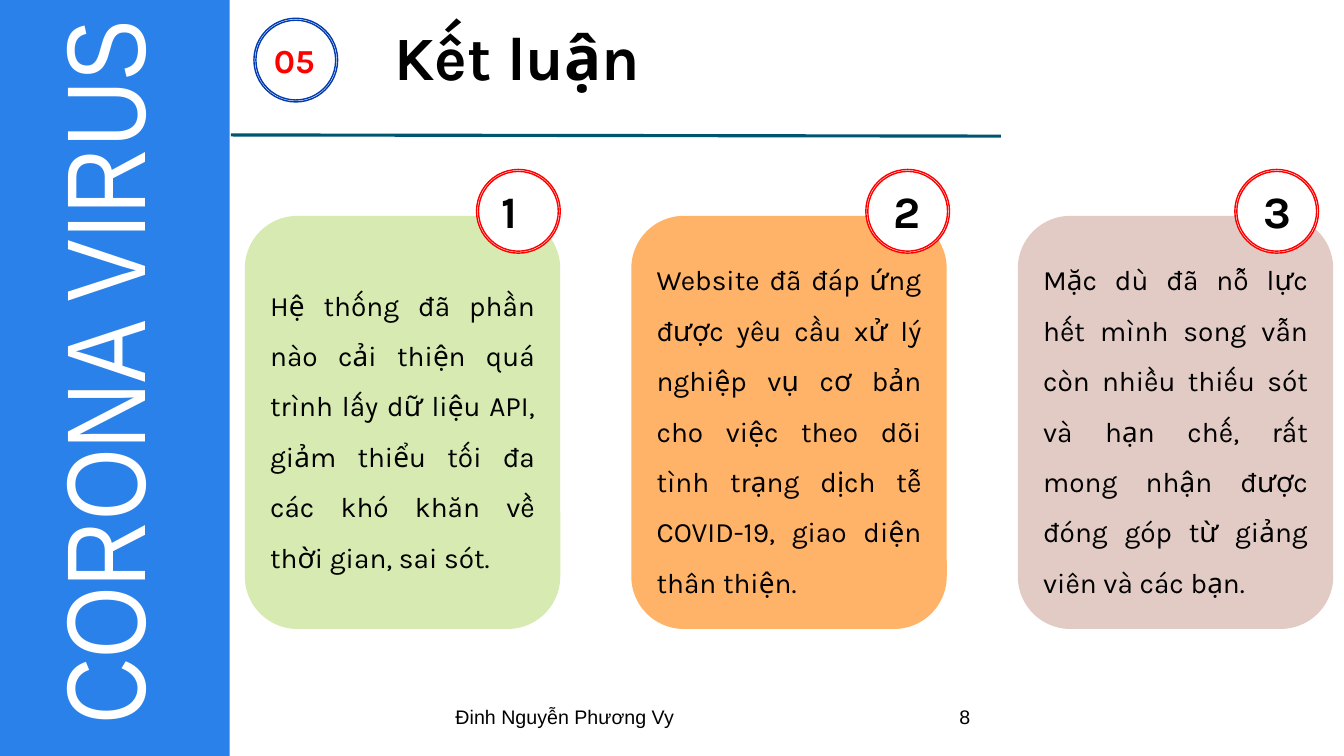
"""Builds the closing slide with three numbered conclusion cards."""
from pptx import Presentation, util as u
from pptx.dml.color import RGBColor
from pptx.enum import shapes, text
from pptx.oxml import parse_xml
from pptx.oxml.ns import nsdecls

KIND = shapes.MSO_SHAPE
JUST = text.PP_ALIGN.JUSTIFY
LEFT = text.PP_ALIGN.LEFT


def tint(code):
    return RGBColor.from_string(code)


def box(*sides):
    return [u.Cm(side) for side in sides]


class Page:
    font = "Karla"
    ink = "000000"

    def __init__(self, deck):
        self.slide = deck.slides.add_slide(deck.slide_layouts[5])
        self.all = self.slide.shapes

    def fill_text(self, frame, words, size, font=None, color=None, bold=False,
                  align=LEFT, space=None, anchor=text.MSO_ANCHOR.TOP, wrap=True):
        frame.word_wrap = wrap
        frame.auto_size = text.MSO_AUTO_SIZE.NONE
        frame.vertical_anchor = anchor
        para = frame.paragraphs[0]
        para.alignment = align
        para.line_spacing = space
        run = para.add_run()
        run.text = words
        run.font.size = u.Pt(size)
        run.font.name = font or self.font
        run.font.bold = bold
        run.font.color.rgb = tint(color or self.ink)

    def title(self, words, place, size):
        head = self.all.title
        head.left, head.top, head.width, head.height = box(*place)
        self.fill_text(head.text_frame, words, size, bold=True, wrap=False)

    def label(self, words, place, size, **style):
        item = self.all.add_textbox(*box(*place))
        self.fill_text(item.text_frame, words, size, **style)
        return item

    def shape(self, kind, place, fill, line=None, home=None):
        item = (home or self.all).add_shape(kind, *box(*place))
        item.shadow.inherit = False
        item.fill.solid()
        item.fill.fore_color.rgb = tint(fill)
        if line:
            item.line.color.rgb = tint(line)
            item.line.width = u.Pt(1)
        else:
            item.line.fill.background()
        return item

    def banner(self, words):
        self.shape(KIND.RECTANGLE, (0, 0, 5.79, 19.05), "2A81EA")
        item = self.label(words, (-8.59, 5.41, 22.28, 3.43), 80,
                          font="Arial Narrow", color="FFFFFF", align=JUST)
        item.rotation = 270
        frame = item.text_frame
        frame.margin_left = frame.margin_right = 0
        frame.margin_top = frame.margin_bottom = 0

    def badge(self, left, top, line):
        group = self.all.add_group_shape().shapes
        ring = self.shape(KIND.DONUT, (left, top, 2.11, 2.11),
                          "FFFFFF", line, group)
        ring.adjustments[0] = 0.05
        self.shape(KIND.OVAL, (left + 0.05, top + 0.05, 2.01, 2.01),
                   "FFFFFF", line, group)

    def card(self, words, left, fill):
        item = self.shape(KIND.ROUNDED_RECTANGLE, (left, 5.44, 7.95, 10.41), fill)
        self.fill_text(item.text_frame, words, 20, align=JUST, space=1.5,
                       anchor=text.MSO_ANCHOR.MIDDLE)

    def rule(self, ends, color):
        item = self.all.add_connector(shapes.MSO_CONNECTOR.STRAIGHT, *box(*ends))
        item.line.color.rgb = tint(color)
        item.line.width = u.Pt(2.25)
        item._element.spPr.append(parse_xml(f"<a:effectLst {nsdecls('a')}/>"))


CARDS = [
    ("Hệ thống đã phần nào cải thiện quá trình lấy dữ liệu API, giảm thiểu "
     "tối đa các khó khăn về thời gian, sai sót.", "D6EAB1", 12.01, 12.4, 1.78),
    ("Website đã đáp ứng được yêu cầu xử lý nghiệp vụ cơ bản cho việc theo dõi "
     "tình trạng dịch tễ COVID-19, giao diện thân thiện.",
     "FFB368", 21.82, 22.28, 1.24),
    ("Mặc dù đã nỗ lực hết mình song vẫn còn nhiều thiếu sót và hạn chế, rất "
     "mong nhận được đóng góp từ giảng viên và các bạn.",
     "E2CBC5", 31.12, 31.6, 1.24),
]


def main():
    deck = Presentation()
    deck.slide_width, deck.slide_height = box(33.87, 19.05)
    page = Page(deck)
    page.banner("CORONA VIRUS")
    page.label("Đinh Nguyễn Phương Vy", (11.23, 17.65, 11.43, 1.02), 14, font="Arial")
    page.label("8", (23.93, 17.65, 7.62, 1.02), 14, font="Arial")
    page.badge(6.4, 0.46, "003BB0")
    page.label("05", (6.65, 0.89, 1.6, 1.27), 24, color="FF0000", bold=True, wrap=False)
    page.title("Kết luận", (9.68, 0.36, 7.06, 2.13), 44)
    page.rule((5.82, 3.4, 25.22, 3.43), "005670")
    for step, (words, fill, ring, left, width) in enumerate(CARDS):
        page.card(words, 6.17 + 9.74 * step, fill)
        page.badge(ring, 4.27, "FF0000")
        page.label(str(step + 1), (left, 4.5, width, 1.63), 32, bold=True,
                   wrap=step == 0)
    deck.save("out.pptx")


if __name__ == "__main__":
    main()
